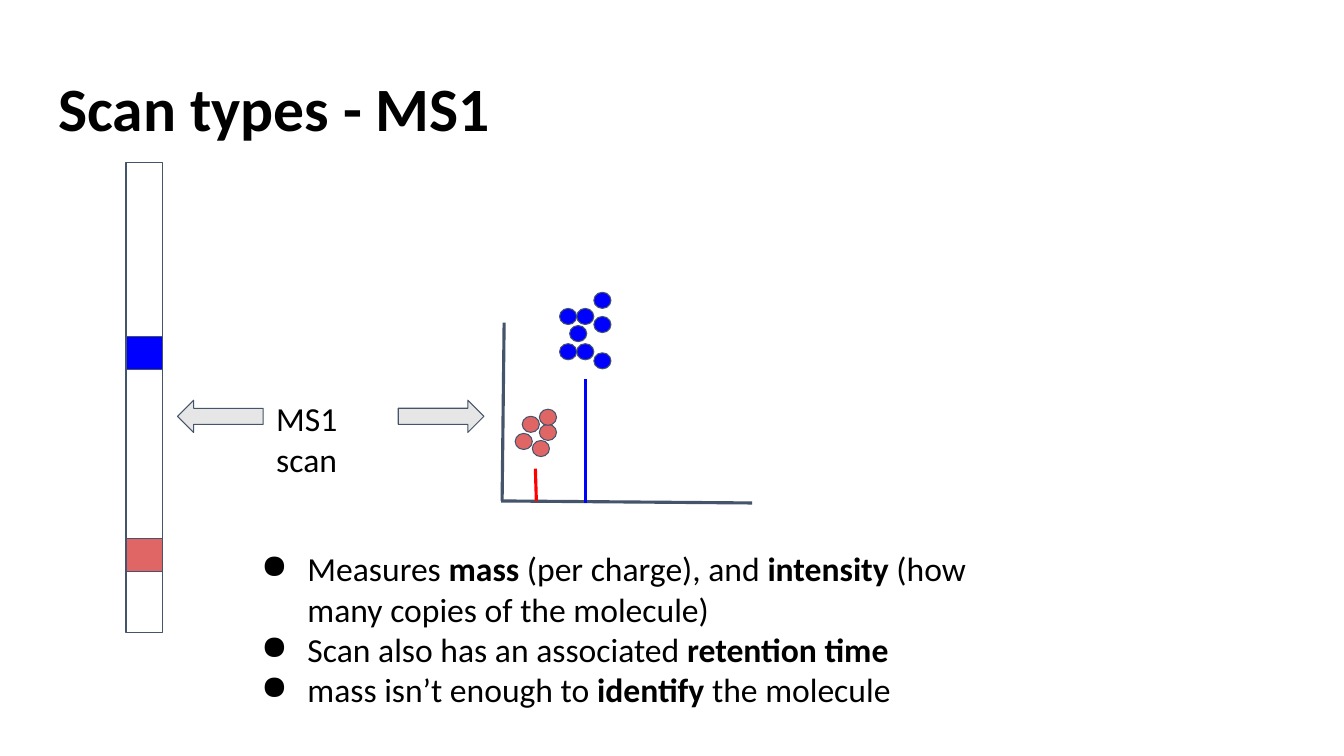
from dataclasses import dataclass

import pptx
import pptx.dml.color
import pptx.enum.shapes
import pptx.enum.text
import pptx.oxml.ns
import pptx.oxml.xmlchemy
import pptx.slide
import pptx.text.text
import pptx.util

Inches = pptx.util.Inches
Pt = pptx.util.Pt
Shape = pptx.enum.shapes.MSO_SHAPE


@dataclass(frozen=True)
class Theme:
    font: str = "Calibri"
    title_size: int = 44
    body_size: int = 24
    thin: float = 0.75
    thick: float = 2.25
    text: str = "000000"
    outline: str = "44546A"
    arrow: str = "E7E6E6"
    blue: str = "0000FF"
    salmon: str = "E06666"
    red: str = "FF0000"


@dataclass(frozen=True)
class Block:
    kind: Shape
    left: float
    top: float
    width: float
    height: float
    fill: str | None = None
    rotation: float = 0


@dataclass(frozen=True)
class Stroke:
    start: tuple[float, float]
    end: tuple[float, float]
    color: str


@dataclass(frozen=True)
class Label:
    left: float
    top: float
    width: float
    height: float
    size: int
    paragraphs: list[list[tuple[str, bool]]]
    bullet: str | None = None
    line_spacing: float = 1.0


THEME = Theme()
COLUMN_LEFT, COLUMN_WIDTH = 1.25, 0.36

COLUMN = [
    Block(Shape.RECTANGLE, COLUMN_LEFT, 1.61, COLUMN_WIDTH, 4.67),
    Block(Shape.RECTANGLE, COLUMN_LEFT, 5.34, COLUMN_WIDTH, 0.33, THEME.salmon),
    Block(Shape.RECTANGLE, COLUMN_LEFT, 3.34, COLUMN_WIDTH, 0.33, THEME.blue),
]
MOLECULES = {
    THEME.salmon: [(5.18, 4.13), (5.11, 4.3), (5.35, 4.21), (5.28, 4.37), (5.35, 4.06)],
    THEME.blue: [(5.55, 3.06), (5.72, 3.06), (5.65, 3.23), (5.89, 3.14),
                 (5.55, 3.41), (5.72, 3.41), (5.89, 2.9), (5.89, 3.5)],
}
DOTS = [Block(Shape.OVAL, x, y, 0.17, 0.16, color)
        for color, places in MOLECULES.items() for x, y in places]
ARROWS = [Block(Shape.RIGHT_ARROW, x, 3.97, 0.85, 0.32, THEME.arrow, rotation)
          for x, rotation in ((3.95, 0), (1.76, 180))]
SPECTRUM = [
    Stroke((5, 3.2), (4.98, 4.97), THEME.outline),
    Stroke((4.97, 4.97), (7.46, 4.99), THEME.outline),
    Stroke((5.31, 4.65), (5.32, 4.97), THEME.red),
    Stroke((5.81, 3.76), (5.81, 4.99), THEME.blue),
]
LABELS = [
    Label(0.45, 0.65, 12.42, 0.84, THEME.title_size,
          [[("Scan types - MS1", True)]], line_spacing=0.9),
    Label(2.61, 3.82, 1.5, 0.54, THEME.body_size, [[("MS1 scan", False)]]),
    Label(2.25, 5.31, 7.83, 1.6, THEME.body_size, [
        [("Measures ", False), ("mass ", True), ("(per charge), and ", False),
         ("intensity", True), (" (how many copies of the molecule)", False)],
        [("Scan also has an associated ", False), ("retention time", True)],
        [("mass isn’t enough to ", False), ("identify", True), (" the molecule", False)],
    ], bullet="●"),
]


def rgb(color: str) -> pptx.dml.color.RGBColor:
    return pptx.dml.color.RGBColor.from_string(color)


def set_all(target: object, values: dict[str, object]) -> None:
    for name, value in values.items():
        setattr(target, name, value)


def draw_block(s: pptx.slide.Slide, block: Block) -> None:
    sp = s.shapes.add_shape(block.kind, Inches(block.left), Inches(block.top),
                            Inches(block.width), Inches(block.height))
    sp.shadow.inherit = False
    sp.rotation = block.rotation
    if block.fill:
        sp.fill.solid()
        sp.fill.fore_color.rgb = rgb(block.fill)
    else:
        sp.fill.background()
    sp.line.color.rgb = rgb(THEME.outline)
    sp.line.width = Pt(THEME.thin)


def draw_stroke(s: pptx.slide.Slide, stroke: Stroke) -> None:
    ends = [Inches(v) for v in stroke.start + stroke.end]
    line = s.shapes.add_connector(pptx.enum.shapes.MSO_CONNECTOR.STRAIGHT, *ends)
    line.line.color.rgb = rgb(stroke.color)
    line.line.width = Pt(THEME.thick)
    line._element.spPr.append(pptx.oxml.xmlchemy.OxmlElement("a:effectLst"))


def add_bullet(p: pptx.text.text._Paragraph, char: str) -> None:
    pPr = p._p.get_or_add_pPr()
    pPr.set("marL", str(Inches(0.67)))
    pPr.set("indent", str(Inches(-0.46)))
    bullet = pptx.oxml.xmlchemy.OxmlElement("a:buChar")
    bullet.set("char", char)
    pPr.append(bullet)


def draw_label(s: pptx.slide.Slide, label: Label) -> None:
    box = s.shapes.add_textbox(Inches(label.left), Inches(label.top),
                               Inches(label.width), Inches(label.height))
    tf = box.text_frame
    inset = Inches(0.13)
    set_all(tf, {"word_wrap": True, "vertical_anchor": pptx.enum.text.MSO_ANCHOR.TOP,
                 "margin_left": inset, "margin_right": inset,
                 "margin_top": inset, "margin_bottom": inset})
    for i, runs in enumerate(label.paragraphs):
        p = tf.add_paragraph() if i else tf.paragraphs[0]
        p.line_spacing = label.line_spacing
        if label.bullet:
            add_bullet(p, label.bullet)
        for text, bold in runs:
            r = p.add_run()
            r.text = text
            set_all(r.font, {"name": THEME.font, "size": Pt(label.size), "bold": bold})
            r.font.color.rgb = rgb(THEME.text)


def main() -> None:
    prs = pptx.Presentation()
    set_all(prs, {"slide_width": Inches(13.33), "slide_height": Inches(7.5)})
    s = prs.slides.add_slide(prs.slide_layouts[6])
    for block in COLUMN + DOTS + ARROWS:
        draw_block(s, block)
    for stroke in SPECTRUM:
        draw_stroke(s, stroke)
    for label in LABELS:
        draw_label(s, label)
    prs.save("out.pptx")


if __name__ == "__main__":
    main()
